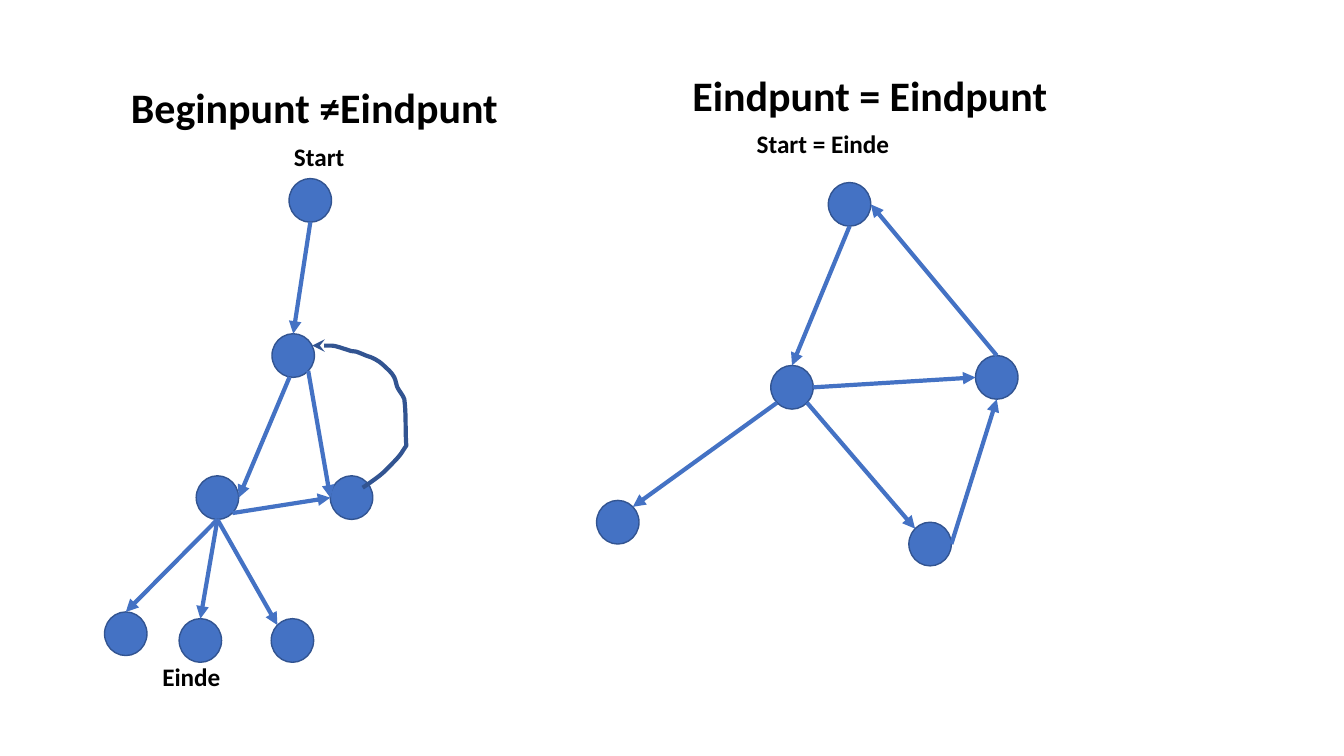
"""Build a slide comparing two directed graphs: open route and closed route."""
import math
import pptx
import pptx.util
import pptx.dml.color
import pptx.enum.shapes
import pptx.enum.text
import pptx.oxml.ns
import lxml.etree

Cm, Pt = pptx.util.Cm, pptx.util.Pt
BLUE, DARK_BLUE, BLACK = "4472C4", "325491", "000000"
NODE_WIDTH, NODE_HEIGHT = 1.07, 1.1

TEXTS = [
    ("Beginpunt ≠Eindpunt", 3.05, 1.93, 11.46, 1.55, 30),
    ("Eindpunt = Eindpunt", 17.2, 1.63, 11.46, 1.55, 30),
    ("Start", 7.16, 3.43, 5.1, 1.02, 18),
    ("Einde", 3.84, 16.54, 3.05, 1.02, 18),
    ("Start = Einde", 18.82, 3.1, 5.1, 1.02, 18),
]
NODES = {
    "start": (7.82, 5.05), "fork": (7.39, 8.96),
    "left": (5.48, 12.54), "right": (8.86, 12.54),
    "end 1": (3.17, 15.97), "end 2": (5.05, 16.14), "end 3": (7.37, 16.14),
    "top": (21.41, 5.15), "middle": (19.96, 9.76), "east": (25.12, 9.51),
    "south": (23.44, 13.71), "west": (15.57, 13.16),
}
E, SE, S, SW, W, NW, N, NE = range(0, 360, 45)
EDGES = [
    ("start", S, "fork", N), ("fork", S + 10, "left", E),
    ("fork", SE, "right", W), ("left", SE, "right", W),
    ("left", S, "end 1", N), ("left", S, "end 2", N), ("left", S, "end 3", NW),
    ("top", S, "middle", N), ("middle", SE, "south", NW),
    ("south", E, "east", S), ("middle", E, "east", W),
    ("east", N, "top", E), ("middle", SW, "west", NE),
]
RETURN_START = (9.14, 12.29)
RETURN_CURVES = [
    ((9.32, 12.17), (9.55, 12.01), (9.68, 11.89)),
    ((9.83, 11.73), (10.06, 11.53), (10.16, 11.35)),
    ((10.19, 11.31), (10.21, 11.27), (10.24, 11.23)),
    ((10.21, 10.82), (10.24, 10.44), (10.19, 10.06)),
    ((10.16, 9.96), (10.06, 9.86), (10.01, 9.75)),
    ((9.96, 9.6), (9.98, 9.55), (9.88, 9.42)),
    ((9.8, 9.32), (9.73, 9.27), (9.65, 9.19)),
    ((9.55, 9.09), (9.35, 8.99), (9.25, 8.97)),
    ((9.17, 8.94), (9.07, 8.89), (8.97, 8.86)),
    ((8.89, 8.86), (8.81, 8.84), (8.74, 8.81)),
    ((8.66, 8.79), (8.46, 8.71), (8.36, 8.71)),
    ((8.18, 8.71), (8.03, 8.71), (7.87, 8.71)),
]


def color(value):
    return pptx.dml.color.RGBColor.from_string(value)


def add_child(parent, tag, **attributes):
    return lxml.etree.SubElement(parent, pptx.oxml.ns.qn(tag), attributes)


def set_line(shape, value, width, arrow=None):
    shape.line.color.rgb = color(value)
    shape.line.width = Pt(width)
    if arrow:
        add_child(shape.line._get_or_add_ln(), "a:tailEnd", type=arrow)


def add_node(slide, x, y):
    node = slide.shapes.add_shape(
        pptx.enum.shapes.MSO_SHAPE.OVAL, Cm(x - NODE_WIDTH / 2),
        Cm(y - NODE_HEIGHT / 2), Cm(NODE_WIDTH), Cm(NODE_HEIGHT))
    node.shadow.inherit = False
    node.fill.solid()
    node.fill.fore_color.rgb = color(BLUE)
    set_line(node, DARK_BLUE, 1)


def rim_point(name, degrees):
    x, y = NODES[name]
    angle = math.radians(degrees)
    return (Cm(x + NODE_WIDTH / 2 * math.cos(angle)),
            Cm(y + NODE_HEIGHT / 2 * math.sin(angle)))


def add_edge(slide, source, source_angle, target, target_angle):
    edge = slide.shapes.add_connector(
        pptx.enum.shapes.MSO_CONNECTOR.STRAIGHT,
        *rim_point(source, source_angle), *rim_point(target, target_angle))
    set_line(edge, BLUE, 3, "triangle")
    add_child(edge._element.spPr, "a:effectLst")


def add_return_curve(slide):
    points = [(Cm(x), Cm(y)) for curve in RETURN_CURVES for x, y in curve]
    builder = slide.shapes.build_freeform(Cm(RETURN_START[0]), Cm(RETURN_START[1]))
    builder.add_line_segments(points, close=False)
    arc = builder.convert_to_shape()
    segments = list(arc._element.iter(pptx.oxml.ns.qn("a:lnTo")))
    outline = segments[0].getparent()
    for first in range(0, len(segments), 3):
        bezier = add_child(outline, "a:cubicBezTo")
        for segment in segments[first:first + 3]:
            bezier.append(segment[0])
            outline.remove(segment)
    arc.shadow.inherit = False
    arc.fill.background()
    set_line(arc, DARK_BLUE, 3, "stealth")


def add_text(slide, text, left, top, width, height, size):
    box = slide.shapes.add_textbox(Cm(left), Cm(top), Cm(width), Cm(height))
    frame = box.text_frame
    frame.word_wrap = True
    frame.auto_size = pptx.enum.text.MSO_AUTO_SIZE.SHAPE_TO_FIT_TEXT
    frame.text = text
    font = frame.paragraphs[0].runs[0].font
    font.name, font.size, font.bold = "Calibri", Pt(size), True
    font.color.rgb = color(BLACK)


deck = pptx.Presentation()
deck.slide_width, deck.slide_height = Cm(33.87), Cm(19.05)
page = deck.slides.add_slide(deck.slide_layouts[6])
for center in NODES.values():
    add_node(page, *center)
for route in EDGES:
    add_edge(page, *route)
add_return_curve(page)
for label in TEXTS:
    add_text(page, *label)
deck.save("out.pptx")
